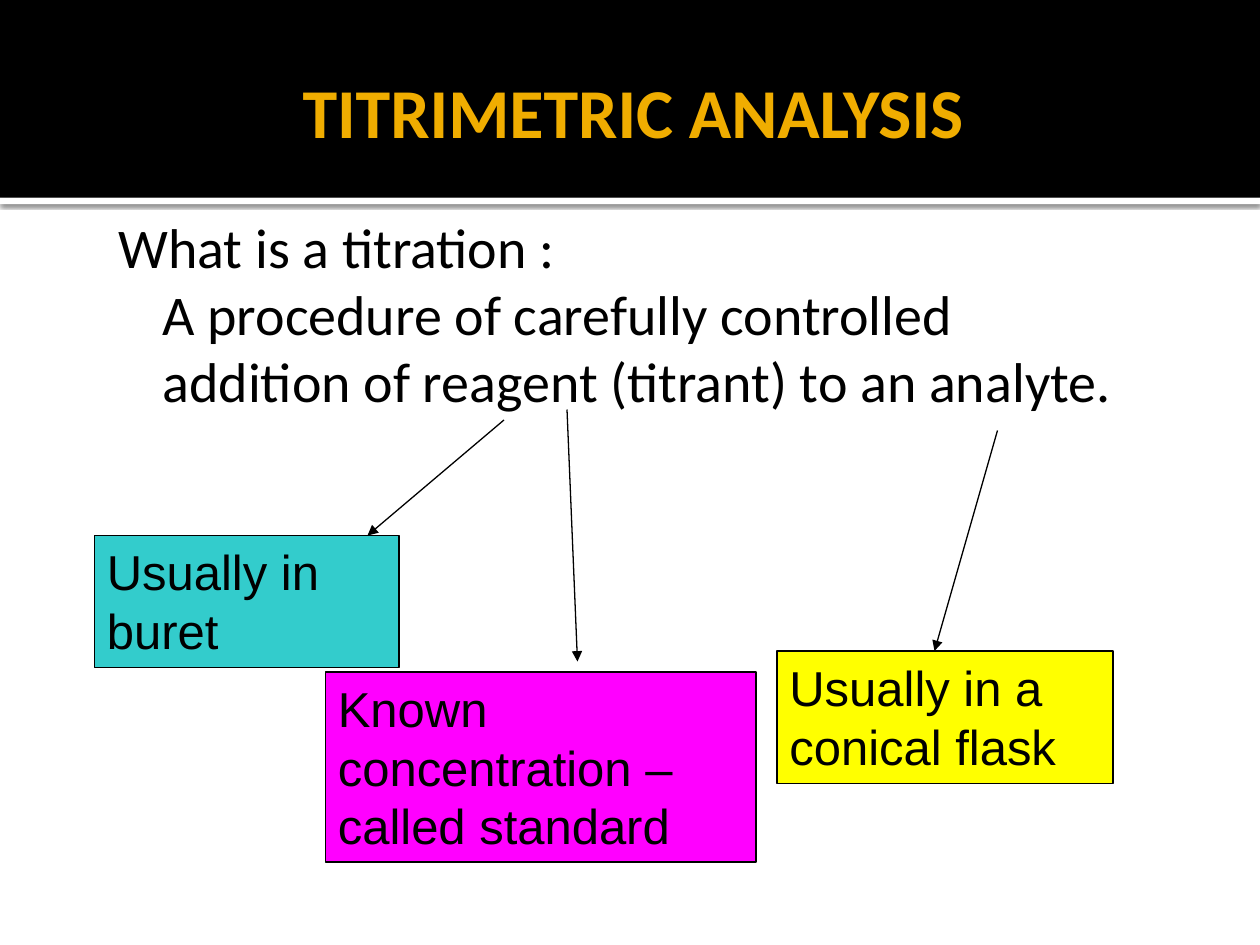
import dataclasses

import pptx
import pptx.dml.color
import pptx.enum.shapes
import pptx.enum.text
import pptx.oxml
import pptx.oxml.ns
import pptx.util

COLS, ROWS = 120, 90
WIDE, HIGH = pptx.util.Inches(10), pptx.util.Inches(7.5)
RECT = pptx.enum.shapes.MSO_SHAPE.RECTANGLE
ALIGN = pptx.enum.text.PP_ALIGN
ANCHOR = pptx.enum.text.MSO_ANCHOR


@dataclasses.dataclass(frozen=True)
class Theme:
    """Hold the colours, fonts and type sizes of the slide."""

    ink: str = "000000"
    paper: str = "FFFFFF"
    gold: str = "F0AD00"
    teal: str = "33CCCC"
    pink: str = "FF00FF"
    yellow: str = "FFFF00"
    main: str = "Calibri"
    label: str = "Arial"
    title: int = 40
    body: int = 32
    note: int = 28
    line: float = 0.75


THEME = Theme()


def paint(code):
    """Turn a hex code into a colour."""
    return pptx.dml.color.RGBColor.from_string(code)


def place(col, row):
    """Turn a grid point into slide lengths."""
    return round(WIDE * col / COLS), round(HIGH * row / ROWS)


def frame(col, row, cols, rows):
    """Turn a grid box into left, top, width and height."""
    return *place(col, row), *place(cols, rows)


def style(para, font, size, color, bold=False):
    """Set the font of a paragraph."""
    para.font.name = font
    para.font.size = pptx.util.Pt(size)
    para.font.color.rgb = paint(color)
    para.font.bold = bold


def inset(text, left, top, right, bottom):
    """Set the inner margins of a text frame in inches."""
    text.word_wrap = True
    text.margin_left = pptx.util.Inches(left)
    text.margin_top = pptx.util.Inches(top)
    text.margin_right = pptx.util.Inches(right)
    text.margin_bottom = pptx.util.Inches(bottom)


def block(slide, box, fill):
    """Add a plain filled rectangle."""
    shape = slide.shapes.add_shape(RECT, *frame(*box))
    shape.shadow.inherit = False
    shape.fill.solid()
    shape.fill.fore_color.rgb = paint(fill)
    shape.line.fill.background()
    return shape


def shade(shape):
    """Give a shape a soft shadow below it."""
    space = pptx.oxml.ns.nsdecls("a")
    effect = shape.element.spPr.find(pptx.oxml.ns.qn("a:effectLst"))
    effect.append(pptx.oxml.parse_xml(
        f'<a:outerShdw {space} blurRad="31750" dist="10160" dir="5400000" '
        f'algn="tl" rotWithShape="0"><a:srgbClr val="{THEME.ink}">'
        '<a:alpha val="60000"/></a:srgbClr></a:outerShdw>'))


def head(slide, words):
    """Add the black band, its white edge and the title."""
    band = 18.84
    shade(block(slide, (0, band, COLS, 0.6), THEME.paper))
    block(slide, (0, 0, COLS, band), THEME.ink)
    text = slide.shapes.add_textbox(*frame(9, 3, 102, 15)).text_frame
    inset(text, 0.1, 0.05, 0.05, 0.05)
    text.vertical_anchor = ANCHOR.MIDDLE
    para = text.paragraphs[0]
    para.text = words
    para.alignment = ALIGN.CENTER
    style(para, THEME.main, THEME.title, THEME.gold, True)


def body(slide, lead, words):
    """Add the question and its indented answer."""
    text = slide.shapes.add_textbox(*frame(9, 19, 102, 54)).text_frame
    inset(text, 0.06, 0.1, 0.1, 0.05)
    rows = ((text.paragraphs[0], lead, -0.35), (text.add_paragraph(), words, 0))
    for para, line, hang in rows:
        para.text = line
        props = para._p.get_or_add_pPr()
        props.set("marL", str(pptx.util.Inches(0.48)))
        props.set("indent", str(pptx.util.Inches(hang)))
        style(para, THEME.main, THEME.body, THEME.ink)


def note(slide, box, fill, words):
    """Add a coloured, outlined label."""
    shape = block(slide, box, fill)
    shape.line.color.rgb = paint(THEME.ink)
    shape.line.width = pptx.util.Pt(THEME.line)
    text = shape.text_frame
    inset(text, 0.1, 0.05, 0.1, 0.05)
    text.vertical_anchor = ANCHOR.TOP
    text.auto_size = pptx.enum.text.MSO_AUTO_SIZE.SHAPE_TO_FIT_TEXT
    para = text.paragraphs[0]
    para.text = words
    para.alignment = ALIGN.LEFT
    style(para, THEME.label, THEME.note, THEME.ink)


def arrow(slide, start, end):
    """Add a thin arrow from one grid point to another."""
    kind = pptx.enum.shapes.MSO_CONNECTOR.STRAIGHT
    link = slide.shapes.add_connector(kind, *place(*start), *place(*end))
    link.line.color.rgb = paint(THEME.ink)
    link.line.width = pptx.util.Pt(THEME.line)
    space = pptx.oxml.ns.nsdecls("a")
    tip = pptx.oxml.parse_xml(f'<a:tailEnd {space} type="triangle"/>')
    link.line._get_or_add_ln().append(tip)
    link.element.spPr.append(pptx.oxml.parse_xml(f"<a:effectLst {space}/>"))


def main():
    """Build the slide and save it."""
    deck = pptx.Presentation()
    deck.slide_width, deck.slide_height = WIDE, HIGH
    slide = deck.slides.add_slide(deck.slide_layouts[6])
    head(slide, "TITRIMETRIC ANALYSIS")
    body(slide, "What is a titration :",
         "A procedure of carefully controlled addition of reagent (titrant) "
         "to an analyte.")
    notes = (
        ((31, 64, 41, 18.1), THEME.pink, "Known concentration – called standard"),
        ((9, 51, 29, 12.6), THEME.teal, "Usually in buret"),
        ((74, 62, 32, 12.6), THEME.yellow, "Usually in a conical flask"),
    )
    for box, fill, words in notes:
        note(slide, box, fill, words)
    links = (((95, 41), (89, 62)), ((54, 39), (55, 63)), ((48, 40), (35, 51)))
    for start, end in links:
        arrow(slide, start, end)
    deck.save("out.pptx")


if __name__ == "__main__":
    main()
